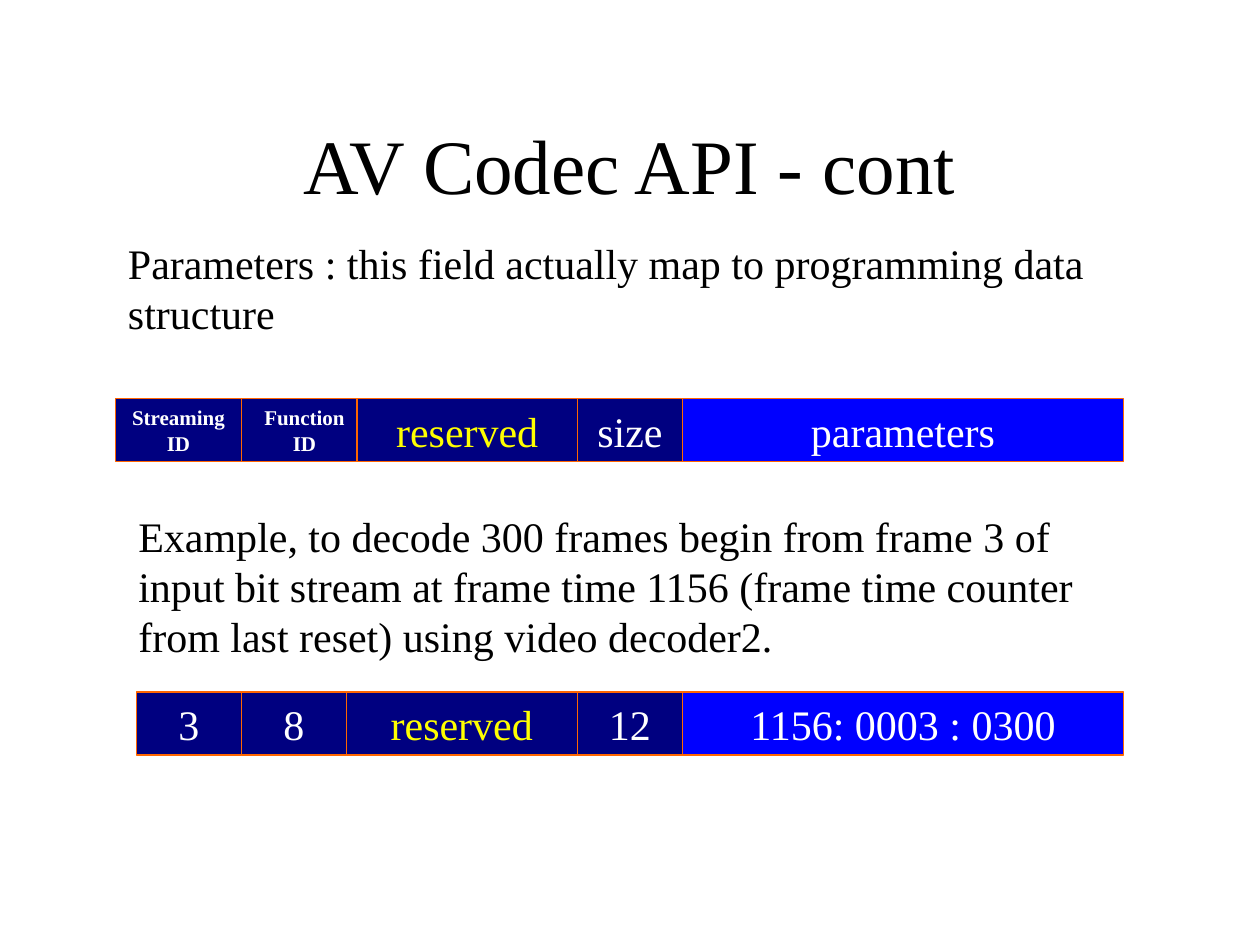
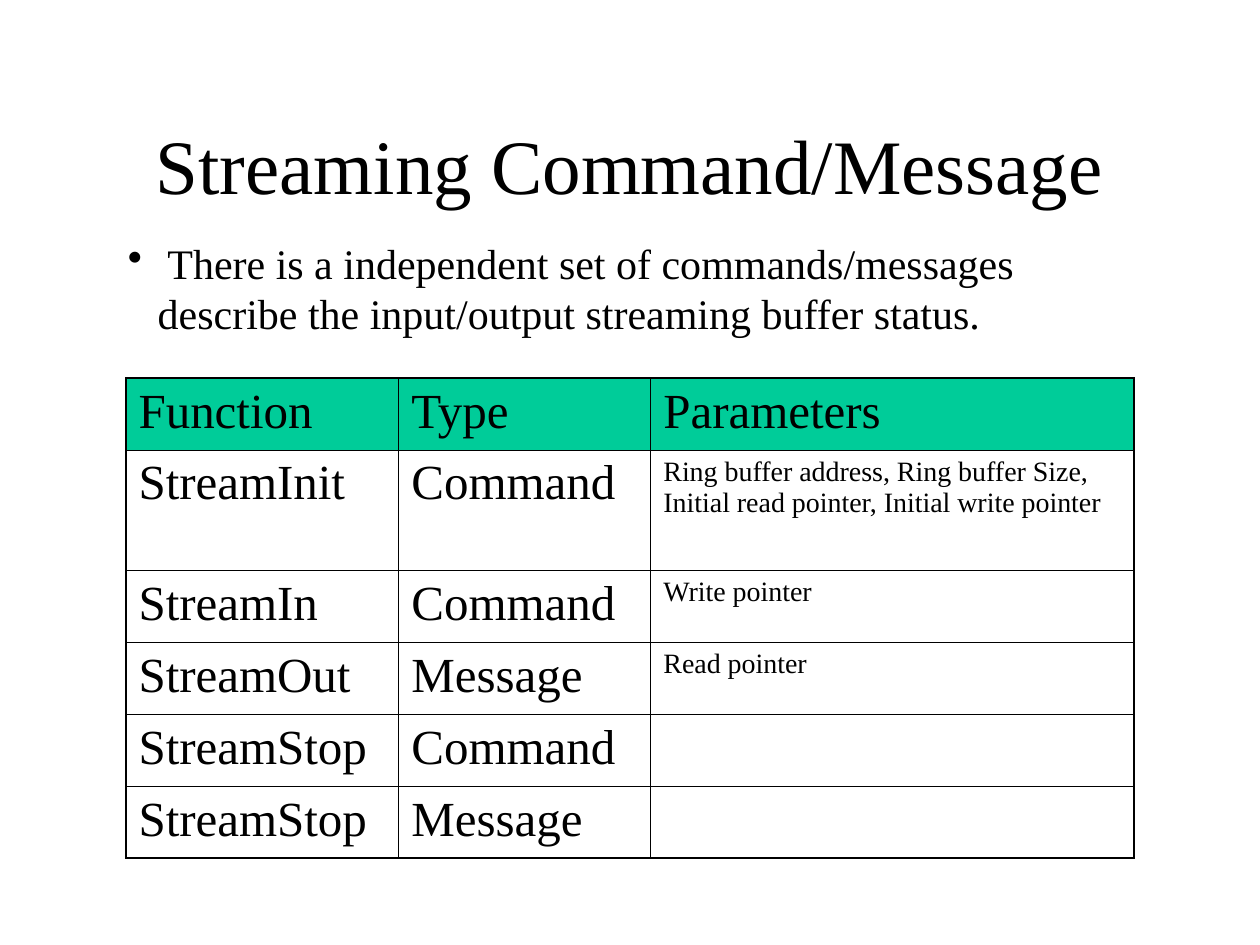
from dataclasses import dataclass

from lxml import etree
from pptx import Presentation
from pptx.dml.color import RGBColor
from pptx.enum import shapes, text
from pptx.oxml import ns
from pptx.util import Cm, Pt


@dataclass(frozen=True)
class Theme:
    font: str = "Times New Roman"
    ink: str = "000000"
    white: str = "FFFFFF"
    gold: str = "FFFF00"
    navy: str = "000080"
    blue: str = "0000FF"
    edge: str = "FF6600"
    green: str = "00CC99"
    title: int = 44
    head: int = 28
    body: int = 24
    note: int = 16
    label: int = 12
    thick: float = 1.08
    thin: float = 0.45


T = Theme()

API = "AV Codec API - cont"
API_NOTE = "Parameters : this field actually map to programming data structure"
API_CASE = ("Example, to decode 300 frames begin from frame 3 of input bit stream "
            "at frame time 1156 (frame time counter from last reset) "
            "using video decoder2.")

NAME = {"size": T.label, "bold": True, "color": T.white}
VALUE = {"color": T.white}
FREE = {"color": T.gold}
# Each field: left and right edge in cm, fill, words, format.
# Reserved comes last, as it lies over the end of its neighbour.
FORMAT = [
    (2.33, 4.87, T.navy, "Streaming ID", NAME),
    (4.87, 7.41, T.navy, "Function ID", NAME),
    (11.64, 13.76, T.navy, "size", VALUE),
    (13.76, 22.65, T.blue, "parameters", VALUE),
    (7.2, 11.64, T.navy, "reserved", FREE),
]
SAMPLE = [
    (2.75, 4.87, T.navy, "3", VALUE),
    (4.87, 6.98, T.navy, "8", VALUE),
    (11.64, 13.76, T.navy, "12", VALUE),
    (13.76, 22.65, T.blue, "1156: 0003 : 0300", VALUE),
    (6.98, 11.64, T.navy, "reserved", FREE),
]

STREAM = "Streaming Command/Message"
STREAM_NOTE = (" There is a independent set of commands/messages describe "
               "the input/output streaming buffer status.")
CALLS = [
    ("Function", "Type", "Parameters"),
    ("StreamInit", "Command", "Ring buffer address, Ring buffer Size, "
                              "Initial read pointer, Initial write pointer"),
    ("StreamIn", "Command", "Write pointer"),
    ("StreamOut", "Message", "Read pointer"),
    ("StreamStop", "Command", ""),
    ("StreamStop", "Message", ""),
]
COLS = [5.5, 5.08, 9.74]
ROW, TALL = 1.45, 2.43


def write(frame, words, size=T.body, color=T.ink, bold=False,
          align=None, lead=0.625, bullet=False):
    """Put one paragraph in a frame; lead is the space before, in type sizes."""
    frame.word_wrap = True
    par = frame.paragraphs[0]
    par.alignment = align
    par.space_before = Pt(size * lead)
    run = par.add_run()
    run.text = words
    font = run.font
    font.name, font.size, font.bold = T.font, Pt(size), bold
    font.color.rgb = RGBColor.from_string(color)
    if bullet:
        props = par._p.get_or_add_pPr()
        props.set("marL", str(Cm(0.6)))
        props.set("indent", str(-Cm(0.6)))
        etree.SubElement(props, ns.qn("a:buChar"), char="•")


def start(deck, words):
    slide = deck.slides.add_slide(deck.slide_layouts[5])
    title = slide.shapes.title
    title.left, title.top = Cm(1.9), Cm(1.7)
    title.width, title.height = Cm(21.6), Cm(3.18)
    title.text_frame.vertical_anchor = text.MSO_ANCHOR.MIDDLE
    write(title.text_frame, words, size=T.title, lead=0,
          align=text.PP_ALIGN.CENTER)
    return slide


def note(slide, words, left, top, width, height, **style):
    box = slide.shapes.add_textbox(Cm(left), Cm(top), Cm(width), Cm(height))
    write(box.text_frame, words, **style)


def strip(slide, fields, top):
    for left, right, fill, words, style in fields:
        box = slide.shapes.add_shape(shapes.MSO_SHAPE.RECTANGLE, Cm(left),
                                     Cm(top), Cm(right - left), Cm(1.27))
        box.shadow.inherit = False
        box.fill.solid()
        box.fill.fore_color.rgb = RGBColor.from_string(fill)
        box.line.color.rgb = RGBColor.from_string(T.edge)
        box.line.width = Pt(0.75)
        box.text_frame.vertical_anchor = text.MSO_ANCHOR.TOP
        write(box.text_frame, words, align=text.PP_ALIGN.CENTER, **style)


def border(cell, outer):
    """Rule all four sides of a cell, thicker on the outer ones."""
    props = cell._tc.get_or_add_tcPr()
    for spot, side in enumerate("LRTB"):
        width = T.thick if side in outer else T.thin
        line = etree.Element(ns.qn(f"a:ln{side}"), w=str(Pt(width)))
        fill = etree.SubElement(line, ns.qn("a:solidFill"))
        etree.SubElement(fill, ns.qn("a:srgbClr"), val=T.ink)
        props.insert(spot, line)


def grid(slide, rows, left, top):
    high = [TALL if n == 1 else ROW for n in range(len(rows))]
    table = slide.shapes.add_table(len(rows), len(COLS), Cm(left), Cm(top),
                                   Cm(sum(COLS)), Cm(sum(high))).table
    table.horz_banding = False
    for col, width in zip(table.columns, COLS):
        col.width = Cm(width)
    for r, row in enumerate(rows):
        table.rows[r].height = Cm(high[r])
        for c, words in enumerate(row):
            cell = table.cell(r, c)
            if r == 0:
                cell.fill.solid()
                cell.fill.fore_color.rgb = RGBColor.from_string(T.green)
            else:
                cell.fill.background()
            ends = {"L": c == 0, "R": c == len(COLS) - 1,
                    "T": r == 0, "B": r == len(rows) - 1}
            border(cell, [side for side in ends if ends[side]])
            if words:
                small = r > 0 and c == 2
                write(cell.text_frame, words, lead=0.25,
                      size=T.note if small else T.head)


def main():
    deck = Presentation()
    deck.slide_width, deck.slide_height = Cm(25.4), Cm(19.05)

    slide = start(deck, API)
    note(slide, API_NOTE, 2.33, 4.66, 20.53, 2.29)
    note(slide, API_CASE, 2.54, 10.16, 19.69, 3.3)
    strip(slide, FORMAT, 8.04)
    strip(slide, SAMPLE, 13.95)

    slide = start(deck, STREAM)
    note(slide, STREAM_NOTE, 2.33, 4.66, 20.53, 2.29, bullet=True)
    grid(slide, CALLS, 2.54, 7.62)

    deck.save("out.pptx")


if __name__ == "__main__":
    main()
